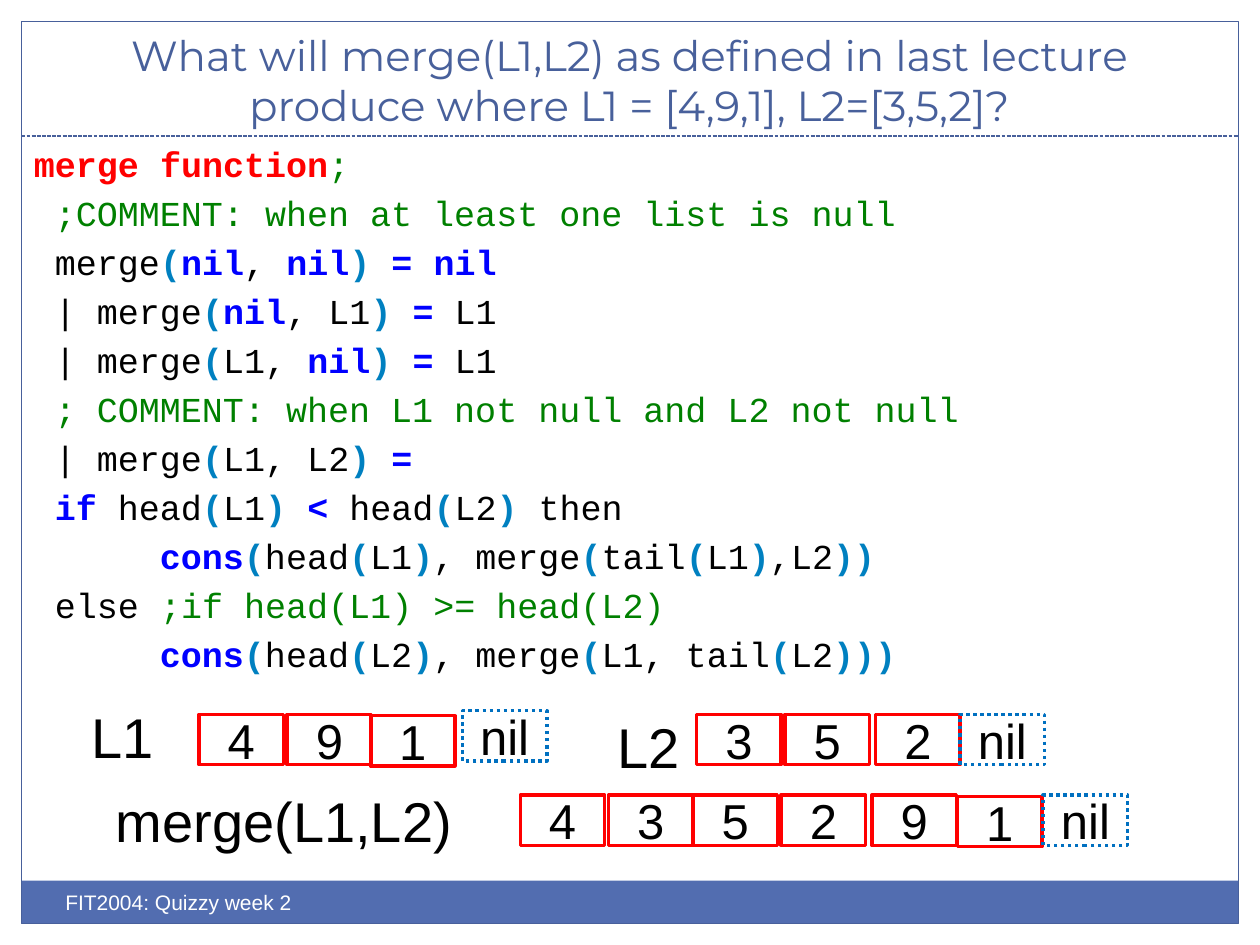
import itertools
import pptx
import pptx.util
import pptx.dml.color
import pptx.enum.dml
import pptx.enum.shapes
import pptx.enum.text
from lxml import etree

Inches, Pt = pptx.util.Inches, pptx.util.Pt
RGB = pptx.dml.color.RGBColor
Dash = pptx.enum.dml.MSO_LINE
Anchor = pptx.enum.text.MSO_ANCHOR
Align = pptx.enum.text.PP_ALIGN
SPACE = "{http://schemas.openxmlformats.org/drawingml/2006/main}"

BLACK, WHITE = RGB(0, 0, 0), RGB(255, 255, 255)
RED, GREEN, BLUE = RGB(255, 0, 0), RGB(0, 128, 0), RGB(0, 0, 255)
PAREN, NIL = RGB(0, 128, 192), RGB(0, 112, 192)
FRAME, BAND = RGB(0x48, 0x60, 0x9B), RGB(0x52, 0x6D, 0xB0)

# Content
TITLE = ("What will merge(L1,L2) as defined in last lecture "
         "produce where L1 = [4,9,1], L2=[3,5,2]?")
FOOTER = "FIT2004: Quizzy week 2"
CODE = [
    "merge function;",
    " ;COMMENT: when at least one list is null",
    " merge(nil, nil) = nil",
    " | merge(nil, L1) = L1",
    " | merge(L1, nil) = L1",
    " ; COMMENT: when L1 not null and L2 not null",
    " | merge(L1, L2) =",
    " if head(L1) < head(L2) then",
    "\tcons(head(L1), merge(tail(L1),L2))",
    " else ;if head(L1) >= head(L2)",
    "\tcons(head(L2), merge(L1, tail(L2)))",
]
KEYS = {"nil", "if", "cons", "=", "<"}
# Lists: label, label box, then (value, left, top) of each cell
LISTS = [
    ("L1", (0.63, 5.53, 0.7, 0.64),
     [("4", 1.58, 5.67), ("9", 2.28, 5.67), ("1", 2.94, 5.68),
      ("nil", 3.67, 5.64)]),
    ("L2", (4.8, 5.61, 0.7, 0.64),
     [("3", 5.53, 5.67), ("5", 6.23, 5.67), ("2", 6.95, 5.67),
      ("nil", 7.62, 5.67)]),
    ("merge(L1,L2)", (0.82, 6.19, 2.89, 0.64),
     [("4", 4.13, 6.31), ("3", 4.83, 6.31), ("5", 5.5, 6.31),
      ("2", 6.2, 6.31), ("9", 6.92, 6.31), ("1", 7.6, 6.32),
      ("nil", 8.28, 6.31)]),
]
CELL = (0.67, 0.4)

deck = pptx.Presentation()
deck.slide_width, deck.slide_height = Inches(10), Inches(7.5)
slide = deck.slides.add_slide(deck.slide_layouts[6])
shapes = slide.shapes


def style(run, size, color, font="Arial", bold=False):
    run.font.size, run.font.name, run.font.bold = Pt(size), font, bold
    run.font.color.rgb = color


def rect(box, fill=None, line=None, width=0.75, dash=None):
    shape = shapes.add_shape(pptx.enum.shapes.MSO_SHAPE.RECTANGLE,
                             *map(Inches, box))
    shape.shadow.inherit = False
    if fill is None:
        shape.fill.background()
    else:
        shape.fill.solid()
        shape.fill.fore_color.rgb = fill
    if line is None:
        shape.line.fill.background()
    else:
        shape.line.color.rgb, shape.line.width = line, Pt(width)
        if dash:
            shape.line.dash_style = dash
    return shape


def write(shape, text, size, color, font="Arial", align=Align.LEFT,
          anchor=Anchor.TOP, wrap=True):
    frame = shape.text_frame
    frame.text = text
    frame.word_wrap, frame.vertical_anchor = wrap, anchor
    para = frame.paragraphs[0]
    para.alignment = align
    style(para.runs[0], size, color, font)


def label(box, *args, **opts):
    write(shapes.add_textbox(*map(Inches, box)), *args, **opts)


def kind(char):
    return next((n for n, group in enumerate(("()", "=<")) if char in group),
                2 + char.isalnum())


def tokens(line, first):
    """Yield (text, colour, bold) for each piece of a code line."""
    code, mark, note = line.partition(";")
    for _, chars in itertools.groupby(code, kind):
        word = "".join(chars)
        if first:
            yield word, RED, word.isalnum()
        elif word[0] in "()":
            yield word, PAREN, True
        else:
            key = word in KEYS
            yield word, BLUE if key else BLACK, key
    if mark:
        yield mark + note, GREEN, False


# Frame, footer band and title rule
rect((0.17, 6.99, 9.66, 0.34), fill=BAND)
rect((0.17, 0.17, 9.66, 7.16), line=FRAME)
rule = shapes.add_connector(pptx.enum.shapes.MSO_CONNECTOR.STRAIGHT,
                            *map(Inches, (0.17, 1.08, 9.83, 1.08)))
rule.line.color.rgb, rule.line.width = FRAME, Pt(0.75)
rule.line.dash_style = Dash.DASH
for dash in rule._element.iter(SPACE + "prstDash"):
    dash.set("val", "sysDash")
etree.SubElement(rule._element.spPr, SPACE + "effectLst")

# Title and footer
label((0.33, 0.25, 9.33, 0.83), TITLE, 24, FRAME, "Montserrat",
      Align.CENTER, Anchor.BOTTOM)
label((0.42, 7.01, 5, 0.4), FOOTER, 12, WHITE)

# Code
frame = shapes.add_textbox(*map(Inches, (0.17, 1.08, 9.84, 4))).text_frame
frame.word_wrap = True
for row, line in enumerate(CODE):
    para = frame.add_paragraph() if row else frame.paragraphs[0]
    para.space_before = Pt(4)
    if line.startswith("\t"):
        tabs = etree.SubElement(para._p.get_or_add_pPr(), SPACE + "tabLst")
        etree.SubElement(tabs, SPACE + "tab", pos=str(Inches(1)), algn="l")
    for text, color, bold in tokens(line, row == 0):
        run = para.add_run()
        run.text = text
        style(run, 20, color, "Courier New", bold)

# Lists
for name, box, cells in LISTS:
    label(box, name, 32, BLACK, wrap=False)
    for value, left, top in cells:
        end = value == "nil"
        cell = rect((left, top, *CELL), line=NIL if end else RED, width=2,
                    dash=Dash.ROUND_DOT if end else None)
        write(cell, value, 28, BLACK, align=Align.CENTER,
              anchor=Anchor.MIDDLE)

deck.save("out.pptx")
